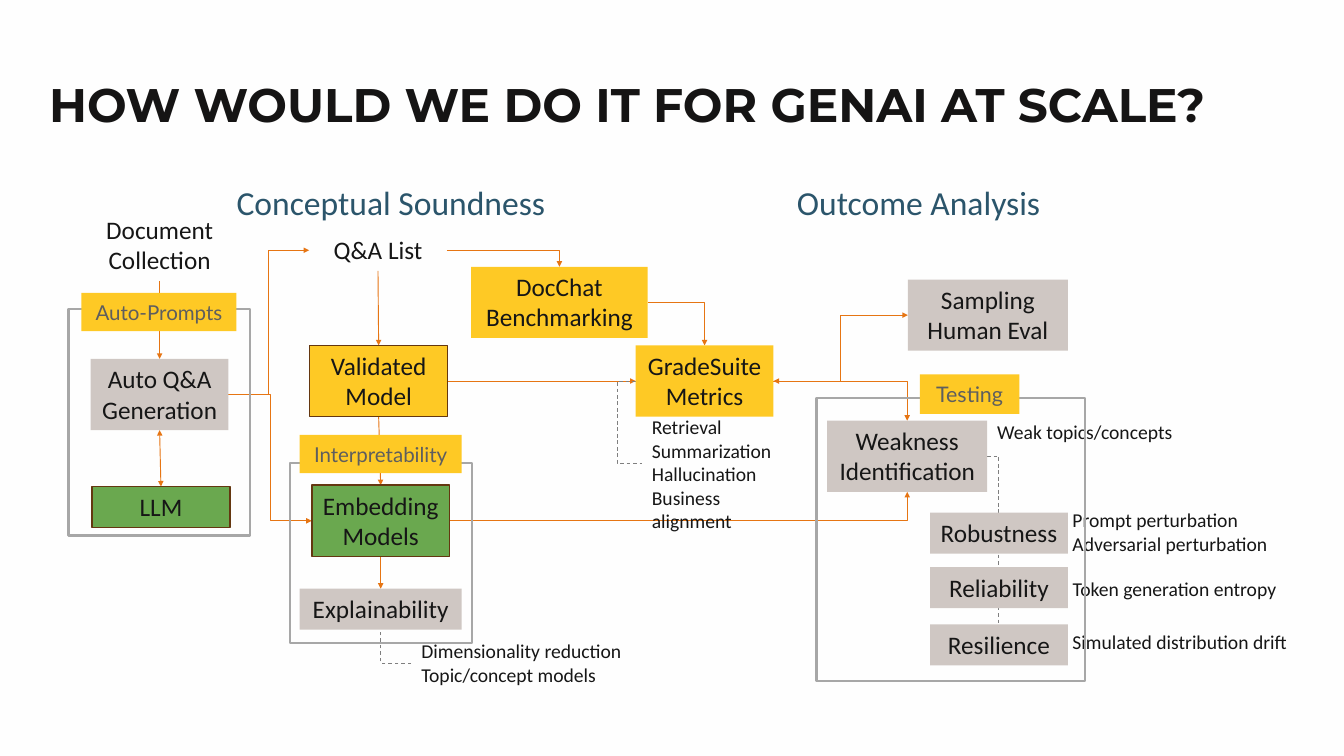
import pptx
import pptx.dml.color
import pptx.enum.dml
import pptx.enum.shapes
import pptx.enum.text
import pptx.util
from lxml import etree

deck = pptx.Presentation()
deck.slide_width = pptx.util.Inches(20)
deck.slide_height = pptx.util.Inches(11.25)
slide = deck.slides.add_slide(deck.slide_layouts[6])

# Grid: 20 columns by 11.25 rows
COL = deck.slide_width / 20
ROW = deck.slide_height / 11.25
rgb = pptx.dml.color.RGBColor.from_string
RECTANGLE = pptx.enum.shapes.MSO_SHAPE.RECTANGLE
CENTER = pptx.enum.text.PP_ALIGN.CENTER
LEFT = pptx.enum.text.PP_ALIGN.LEFT
YELLOW, GREY, GREEN = "FEC925", "CFC7C3", "6AA84F"
BROWN, ORANGE, DASH_GREY, FRAME_GREY = "643710", "E67513", "7F7F7F", "A7A7A7"
INK, TEAL, TAG_INK = "161616", "2B556B", "5E5E5E"

slide.background.fill.solid()
slide.background.fill.fore_color.rgb = rgb("FEFEFE")


def add_rect(place, fill=None, line=None, width=1.5):
    left, top, wide, high = place
    rect = slide.shapes.add_shape(RECTANGLE, int(left * COL), int(top * ROW),
                                  int(wide * COL), int(high * ROW))
    rect.shadow.inherit = False
    if fill:
        rect.fill.solid()
        rect.fill.fore_color.rgb = rgb(fill)
    else:
        rect.fill.background()
    if line:
        rect.line.color.rgb = rgb(line)
        rect.line.width = pptx.util.Pt(width)
    else:
        rect.line.fill.background()
    return rect


def write(shape, text, size, color=INK, font="Calibri", align=LEFT, inset=(0.15, 0.07)):
    frame = shape.text_frame
    frame.word_wrap = True
    frame.auto_size = pptx.enum.text.MSO_AUTO_SIZE.SHAPE_TO_FIT_TEXT
    frame.vertical_anchor = pptx.enum.text.MSO_ANCHOR.TOP
    frame.margin_left = frame.margin_right = pptx.util.Inches(inset[0])
    frame.margin_top = frame.margin_bottom = pptx.util.Inches(inset[1])
    frame.text = text
    for paragraph in frame.paragraphs:
        paragraph.alignment = align
        paragraph.font.name = font
        paragraph.font.size = pptx.util.Pt(size)
        paragraph.font.color.rgb = rgb(color)


# Content: key -> (text, (left, top, width, height), fill, outline)
STEP, ONE, TWO = 2.05, 0.61, 1.06
steps = {
    "documents": ("Document Collection", (1.35, 3.12, STEP, TWO), None, None),
    "generation": ("Auto Q&A Generation", (1.35, 5.34, STEP, TWO), GREY, None),
    "llm": ("LLM", (1.37, 7.24, STEP, ONE), GREEN, BROWN),
    "qa list": ("Q&A List", (4.6, 3.42, STEP, ONE), None, None),
    "model": ("Validated Model", (4.61, 5.14, STEP, TWO), YELLOW, BROWN),
    "embedding": ("Embedding Models", (4.64, 7.22, STEP, TWO), GREEN, BROWN),
    "explain": ("Explainability", (4.46, 8.76, 2.41, ONE), GREY, None),
    "benchmark": ("DocChat\nBenchmarking", (7.01, 3.97, 2.63, TWO), YELLOW, None),
    "metrics": ("GradeSuite\nMetrics", (9.46, 5.14, STEP, TWO), YELLOW, None),
    "sampling": ("Sampling Human Eval", (13.51, 4.16, 2.38, TWO), GREY, None),
    "weakness": ("Weakness Identification", (12.31, 6.26, 2.38, TWO), GREY, None),
    "robustness": ("Robustness", (13.84, 7.63, STEP, ONE), GREY, None),
    "reliability": ("Reliability", (13.84, 8.44, STEP, ONE), GREY, None),
    "resilience": ("Resilience", (13.84, 9.29, STEP, ONE), GREY, None),
}
notes = {
    "reduction": ("Dimensionality reduction\nTopic/concept models", (6.12, 9.44, 3.31, 0.86)),
    "measures": ("Retrieval\nSummarization\nHallucination\nBusiness alignment",
                 (9.55, 6.11, 2.54, 1.57)),
    "topics": ("Weak topics/concepts", (14.69, 6.18, 2.94, 0.5)),
    "perturbation": ("Prompt perturbation\nAdversarial perturbation", (15.81, 7.49, 3.24, 0.86)),
    "entropy": ("Token generation entropy", (15.81, 8.51, 3.38, 0.5)),
    "drift": ("Simulated distribution drift", (15.81, 9.31, 3.5, 0.5)),
}

# Links: from, side, to, side, route, arrowheads (headEnd is the start), bend share
SIDES = {"top": (0.5, 0), "left": (0, 0.5), "bottom": (0.5, 1), "right": (1, 0.5)}
STRAIGHT, CORNER, ELBOW = "line", "bentConnector2", "bentConnector3"
END, BOTH, PLAIN = ("tailEnd",), ("headEnd", "tailEnd"), ()
links = [
    ("weakness", "right", "resilience", "top", CORNER, PLAIN, None),
    ("documents", "bottom", "generation", "top", STRAIGHT, END, None),
    ("generation", "bottom", "llm", "top", STRAIGHT, BOTH, None),
    ("generation", "right", "qa list", "left", ELBOW, END, 0.5),
    ("generation", "right", "embedding", "left", ELBOW, END, 0.5),
    ("qa list", "bottom", "model", "top", STRAIGHT, END, None),
    ("qa list", "right", "benchmark", "top", CORNER, END, None),
    ("model", "bottom", "embedding", "top", STRAIGHT, END, None),
    ("model", "right", "metrics", "left", STRAIGHT, END, None),
    ("embedding", "bottom", "explain", "top", STRAIGHT, END, None),
    ("embedding", "right", "weakness", "bottom", CORNER, END, None),
    ("benchmark", "right", "metrics", "top", CORNER, END, None),
    ("metrics", "right", "weakness", "top", CORNER, BOTH, None),
    ("metrics", "right", "sampling", "left", ELBOW, END, 0.5),
    ("reduction", "left", "explain", "bottom", CORNER, PLAIN, None),
    ("metrics", "left", "measures", "left", ELBOW, PLAIN, -3.04),
]
A = "{http://schemas.openxmlformats.org/drawingml/2006/main}"
places = {key: entry[1] for key, entry in {**steps, **notes}.items()}
for start, start_side, end, end_side, route, heads, bend in links:
    ends = []
    for key, side in ((start, start_side), (end, end_side)):
        left, top, wide, high = places[key]
        across, down = SIDES[side]
        ends += [int((left + across * wide) * COL), int((top + down * high) * ROW)]
    link = slide.shapes.add_connector(pptx.enum.shapes.MSO_CONNECTOR.STRAIGHT, *ends)
    link.line.color.rgb = rgb(ORANGE if heads else DASH_GREY)
    link.line.width = pptx.util.Pt(1)
    if not heads:
        link.line.dash_style = pptx.enum.dml.MSO_LINE.DASH
    properties = link._element.spPr
    geometry = properties.find(A + "prstGeom")
    geometry.set("prst", route)
    if bend is not None:
        etree.SubElement(geometry.find(A + "avLst"), A + "gd",
                         name="adj1", fmla=f"val {round(bend * 100000)}")
    for head in heads:
        etree.SubElement(properties.find(A + "ln"), A + head, type="triangle")
    etree.SubElement(properties, A + "effectLst")

# Steps and side notes
for text, place, fill, outline in steps.values():
    write(add_rect(place, fill, outline), text, 27, align=CENTER)
for text, place in notes.values():
    write(add_rect(place), text, 21)

# Group frames and their tags
for place in ((1.02, 4.6, 2.7, 3.37), (4.32, 6.89, 2.7, 2.68), (12.15, 5.92, 3.99, 4.22)):
    add_rect(place, line=FRAME_GREY, width=2.25)
for text, place, size in (
    ("Auto-Prompts", (1.21, 4.36, 2.31, 0.57), 22),
    ("Interpretability", (4.46, 6.47, 2.41, 0.57), 22),
    ("Testing", (13.69, 5.57, 1.48, 0.59), 23),
):
    write(add_rect(place, YELLOW), text, size, TAG_INK, "Lato", CENTER, (0.1, 0.1))

# Section headings
for text, place in (
    ("Conceptual Soundness", (3.37, 2.64, 4.95, 0.76)),
    ("Outcome Analysis", (11.71, 2.64, 4.72, 0.76)),
):
    write(add_rect(place), text, 36, TEAL)

# Title
title = slide.shapes.add_textbox(int(0.58 * COL), int(0.63 * ROW),
                                 int(18.48 * COL), int(1.4 * ROW))
write(title, "HOW WOULD WE DO IT FOR GENAI AT SCALE?", 50.4, "151414", "Montserrat")
title.text_frame.auto_size = pptx.enum.text.MSO_AUTO_SIZE.NONE
title.text_frame.vertical_anchor = pptx.enum.text.MSO_ANCHOR.BOTTOM
title.text_frame.paragraphs[0].font.bold = True

deck.save("out.pptx")
